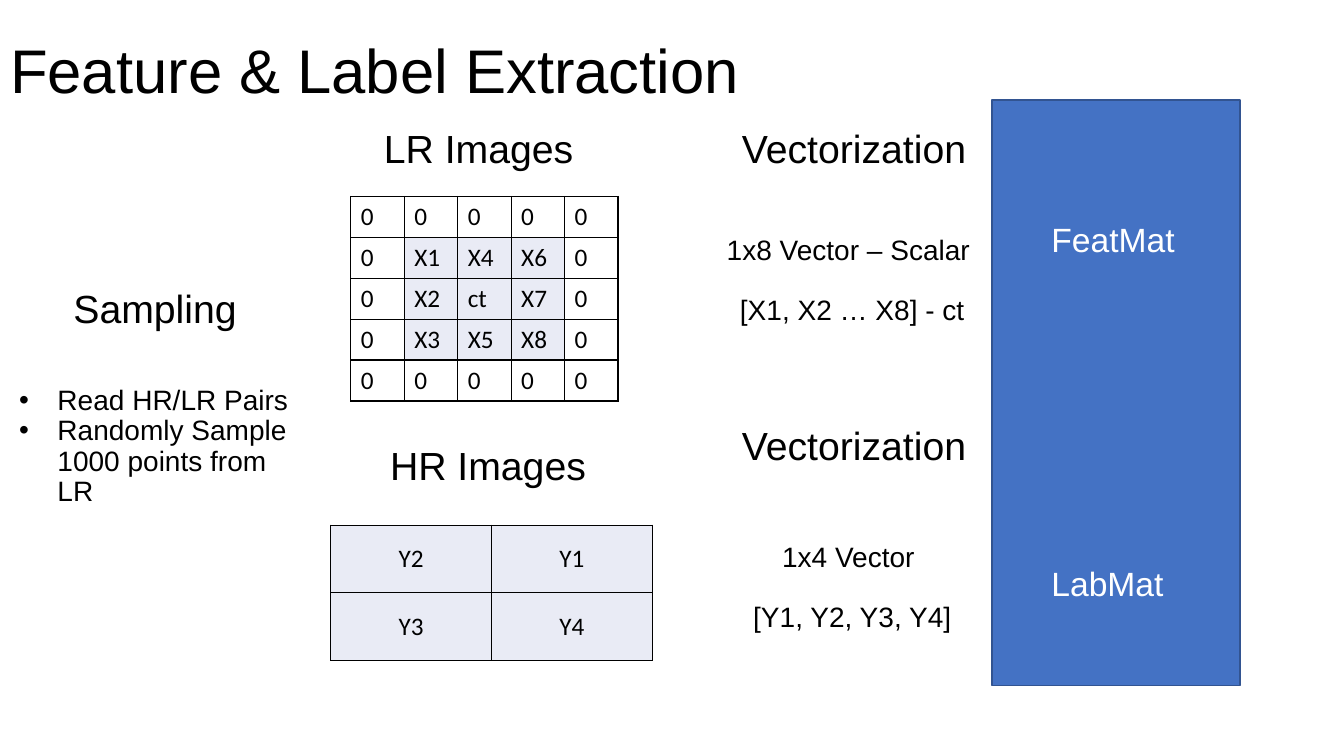
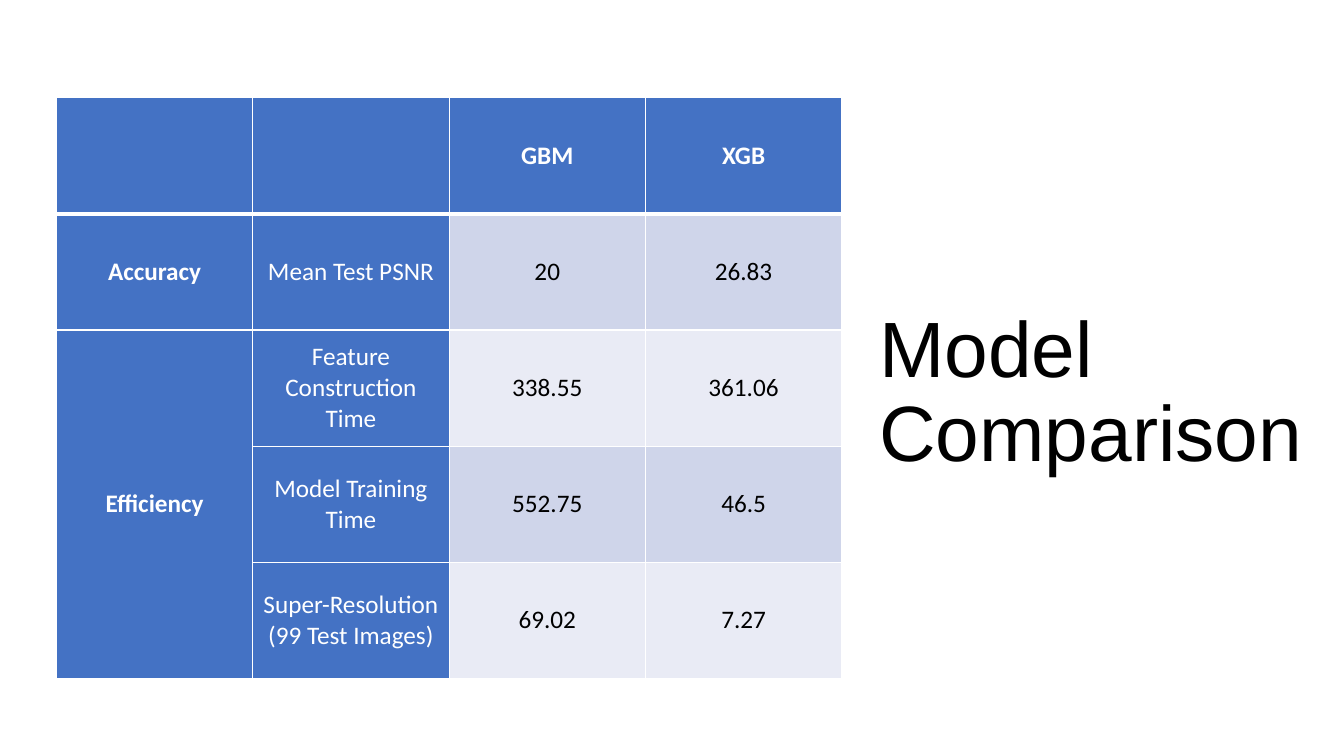
import pptx
import pptx.util
import pptx.dml.color
import pptx.enum.shapes
import pptx.enum.text
import pptx.oxml
import pptx.oxml.ns
from pptx.util import Inches

BLACK, WHITE = "000000", "FFFFFF"
BLUE, DARK_BLUE = "4472C4", "325491"
PALE, MIST = "E9EBF5", "CFD5EA"
LEFT, CENTER = pptx.enum.text.PP_ALIGN.LEFT, pptx.enum.text.PP_ALIGN.CENTER
TOP, MIDDLE, BOTTOM = (pptx.enum.text.MSO_ANCHOR.TOP, pptx.enum.text.MSO_ANCHOR.MIDDLE,
                       pptx.enum.text.MSO_ANCHOR.BOTTOM)

EXTRACTION_TITLE = "Feature & Label Extraction"
SAMPLING_STEPS = ["Read HR/LR Pairs", "Randomly Sample 1000 points from LR"]
LR_PATCH = [
    ["0", "0", "0", "0", "0"],
    ["0", "X1", "X4", "X6", "0"],
    ["0", "X2", "ct", "X7", "0"],
    ["0", "X3", "X5", "X8", "0"],
    ["0", "0", "0", "0", "0"],
]
HR_PATCH = [["Y2", "Y1"], ["Y3", "Y4"]]
# text, left, top, width, size, colour
LABELS = [
    ("LR Images", 3.71, 0.8, 2.31, 28, BLACK),
    ("Sampling", 0.63, 2.39, 2.31, 28, BLACK),
    ("HR Images", 3.77, 3.95, 2.31, 28, BLACK),
    ("Vectorization", 7.26, 0.8, 2.46, 28, BLACK),
    ("Vectorization", 7.26, 3.75, 2.46, 28, BLACK),
    ("FeatMat", 10.33, 1.7, 2.46, 24, WHITE),
    ("LabMat", 10.33, 5.11, 2.46, 24, WHITE),
]
VECTORS = [
    (["1x8 Vector – Scalar", " [X1, X2 … X8] - ct"], 1.5),
    (["1x4 Vector", " [Y1, Y2, Y3, Y4]"], 4.55),
]

COMPARISON_TITLE = "Model Comparison"
COMPARISON = [
    ["", "", "GBM", "XGB"],
    ["Accuracy", "Mean Test PSNR", "20", "26.83"],
    ["Efficiency", "Feature Construction Time", "338.55", "361.06"],
    ["", "Model Training Time", "552.75", "46.5"],
    ["", "Super-Resolution (99 Test Images)", "69.02", "7.27"],
]


def rgb(value):
    """Turn a hex string into a colour."""
    return pptx.dml.color.RGBColor.from_string(value)


def place(shape, left, top, width, height):
    """Move and size a shape, in inches."""
    shape.left, shape.top = Inches(left), Inches(top)
    shape.width, shape.height = Inches(width), Inches(height)


def add_span(para, text, size, color, font="Arial", bold=False):
    """Add one formatted run to a paragraph."""
    span = para.add_run()
    span.text = text
    span.font.size = pptx.util.Pt(size)
    span.font.name = font
    span.font.bold = bold
    span.font.color.rgb = rgb(color)


def write_lines(shape, lines, size, color=BLACK, align=LEFT, anchor=MIDDLE, gap=0):
    """Write one paragraph per line, with a gap in points between them."""
    frame = shape.text_frame
    frame.word_wrap = True
    frame.auto_size = pptx.enum.text.MSO_AUTO_SIZE.NONE
    frame.vertical_anchor = anchor
    for index, line in enumerate(lines):
        para = frame.add_paragraph() if index else frame.paragraphs[0]
        para.alignment = align
        para.line_spacing = 0.9
        para.space_before = pptx.util.Pt(gap if index else 0)
        add_span(para, line, size, color)


def add_label(page, lines, left, top, width, height, size, color=BLACK, **style):
    """Add a text box."""
    box = page.shapes.add_textbox(Inches(left), Inches(top), Inches(width), Inches(height))
    write_lines(box, lines, size, color, **style)


def set_bullets(shape, indent):
    """Give every paragraph a hanging round bullet."""
    for para in shape.text_frame.paragraphs:
        settings = para._p.get_or_add_pPr()
        settings.set("marL", str(Inches(indent)))
        settings.set("indent", str(-Inches(indent)))
        for tag, name, value in (("buFont", "typeface", "Arial"), ("buChar", "char", "•")):
            bullet = pptx.oxml.parse_xml(
                f'<a:{tag} {pptx.oxml.ns.nsdecls("a")} {name}="{value}"/>')
            settings.append(bullet)


def set_borders(cell, color, top=1, bottom=1):
    """Draw the four edges of a cell, widths in points."""
    settings = cell._tc.get_or_add_tcPr()
    for side, width in (("L", 1), ("R", 1), ("T", top), ("B", bottom)):
        settings.append(pptx.oxml.parse_xml(
            f'<a:ln{side} {pptx.oxml.ns.nsdecls("a")} w="{pptx.util.Pt(width)}">'
            f'<a:solidFill><a:srgbClr val="{color}"/></a:solidFill></a:ln{side}>'))


def add_grid(page, rows, left, top, width, height, style_of, border,
             align=CENTER, anchor=MIDDLE, header_rule=1):
    """Add a table of equal cells; style_of gives fill, text colour and bold."""
    table = page.shapes.add_table(len(rows), len(rows[0]), Inches(left), Inches(top),
                                  Inches(width), Inches(height)).table
    table.first_row = table.horz_banding = False
    for r, row in enumerate(rows):
        for c, text in enumerate(row):
            fill, color, bold = style_of(r, c)
            cell = table.cell(r, c)
            set_borders(cell, border, top=header_rule if r == 1 else 1,
                        bottom=header_rule if r == 0 else 1)
            cell.fill.solid()
            cell.fill.fore_color.rgb = rgb(fill)
            cell.vertical_anchor = anchor
            para = cell.text_frame.paragraphs[0]
            para.alignment = align
            if text:
                add_span(para, text, 18, color, "Calibri", bold)
    return table


def lr_style(r, c):
    """Shade the inner 3 by 3 window of the LR patch."""
    return (PALE if 0 < r < 4 and 0 < c < 4 else WHITE), BLACK, False


def hr_style(r, c):
    """Shade every HR cell."""
    return PALE, BLACK, False


def comparison_style(r, c):
    """Blue headings with banded values."""
    if r == 0 or c < 2:
        return BLUE, WHITE, r == 0 or c == 0
    return (MIST if r % 2 else PALE), BLACK, False


def add_page(deck, layout, title, size, anchor, *spot):
    """Add a slide with its title in place."""
    page = deck.slides.add_slide(deck.slide_layouts[layout])
    place(page.shapes.title, *spot)
    write_lines(page.shapes.title, [title], size, anchor=anchor)
    return page


def build_extraction(deck):
    """Build the feature and label extraction slide."""
    page = add_page(deck, 1, EXTRACTION_TITLE, 44, MIDDLE, 0, 0, 11.5, 1.45)
    panel = page.shapes.add_shape(pptx.enum.shapes.MSO_SHAPE.RECTANGLE, Inches(9.84),
                                  Inches(0.99), Inches(2.46), Inches(5.81))
    panel.shadow.inherit = False
    panel.fill.solid()
    panel.fill.fore_color.rgb = rgb(BLUE)
    panel.line.color.rgb = rgb(DARK_BLUE)
    panel.line.width = pptx.util.Pt(1)

    steps = page.placeholders[1]
    place(steps, 0.09, 3.51, 3.07, 1.85)
    write_lines(steps, SAMPLING_STEPS, 20)
    set_bullets(steps, 0.38)

    add_grid(page, LR_PATCH, 3.48, 1.95, 2.65, 2, lr_style, BLACK, align=LEFT, anchor=TOP)
    add_grid(page, HR_PATCH, 3.28, 5.21, 3.19, 1.34, hr_style, BLACK)
    for text, left, top, width, size, color in LABELS:
        add_label(page, [text], left, top, width, 1.39, size, color)
    for lines, top in VECTORS:
        add_label(page, lines, 6.88, top, 3.07, 2.58, 20, align=CENTER, gap=21)


def build_comparison(deck):
    """Build the model comparison slide."""
    page = add_page(deck, 5, COMPARISON_TITLE, 56, BOTTOM, 8.62, 0.53, 4.71, 4.27)
    table = add_grid(page, COMPARISON, 0.56, 0.97, 7.79, 5.76, comparison_style, WHITE,
                     header_rule=3)
    table.cell(2, 0).merge(table.cell(4, 0))


deck = pptx.Presentation()
deck.slide_width, deck.slide_height = Inches(13.33), Inches(7.5)
build_extraction(deck)
build_comparison(deck)
deck.save("out.pptx")
